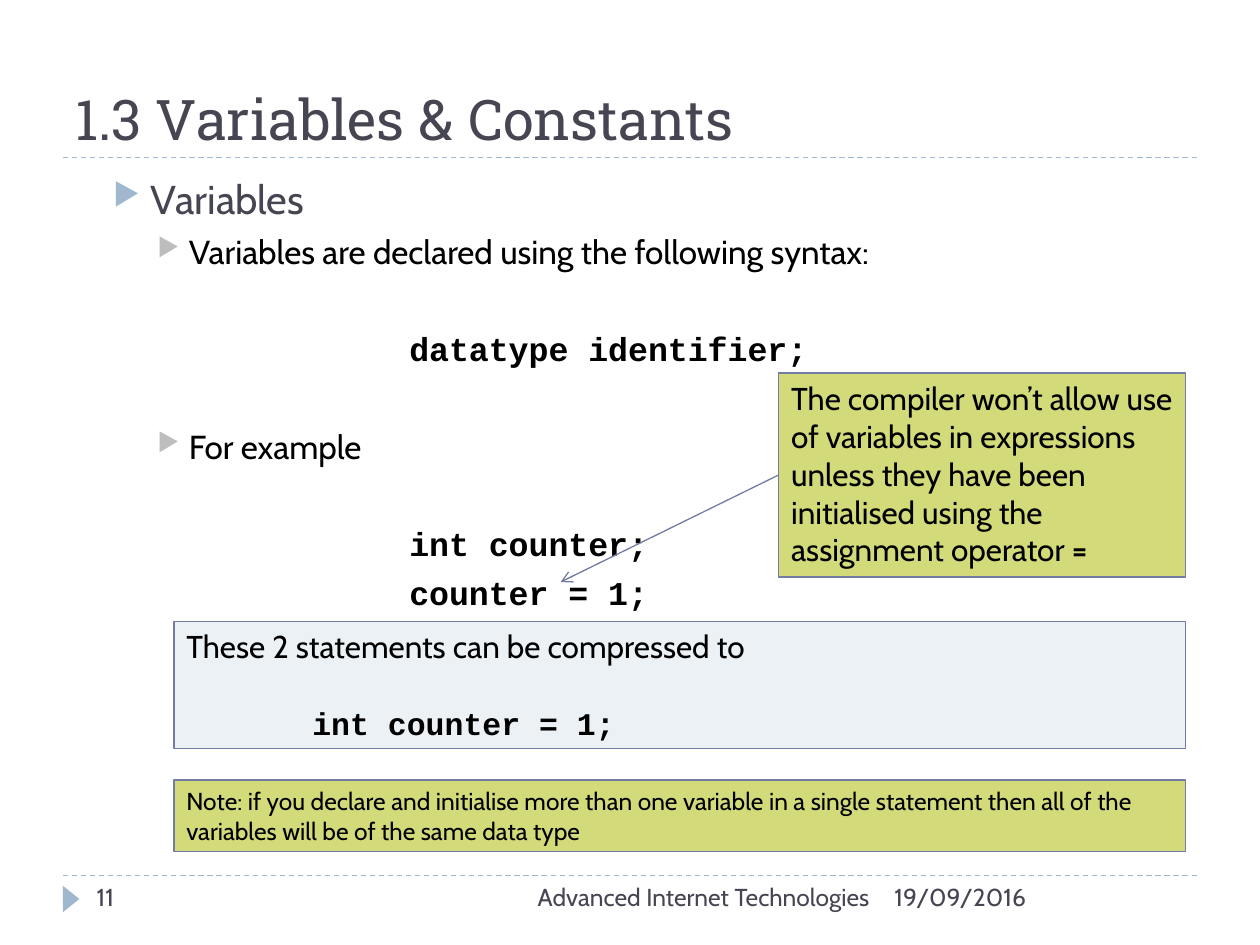
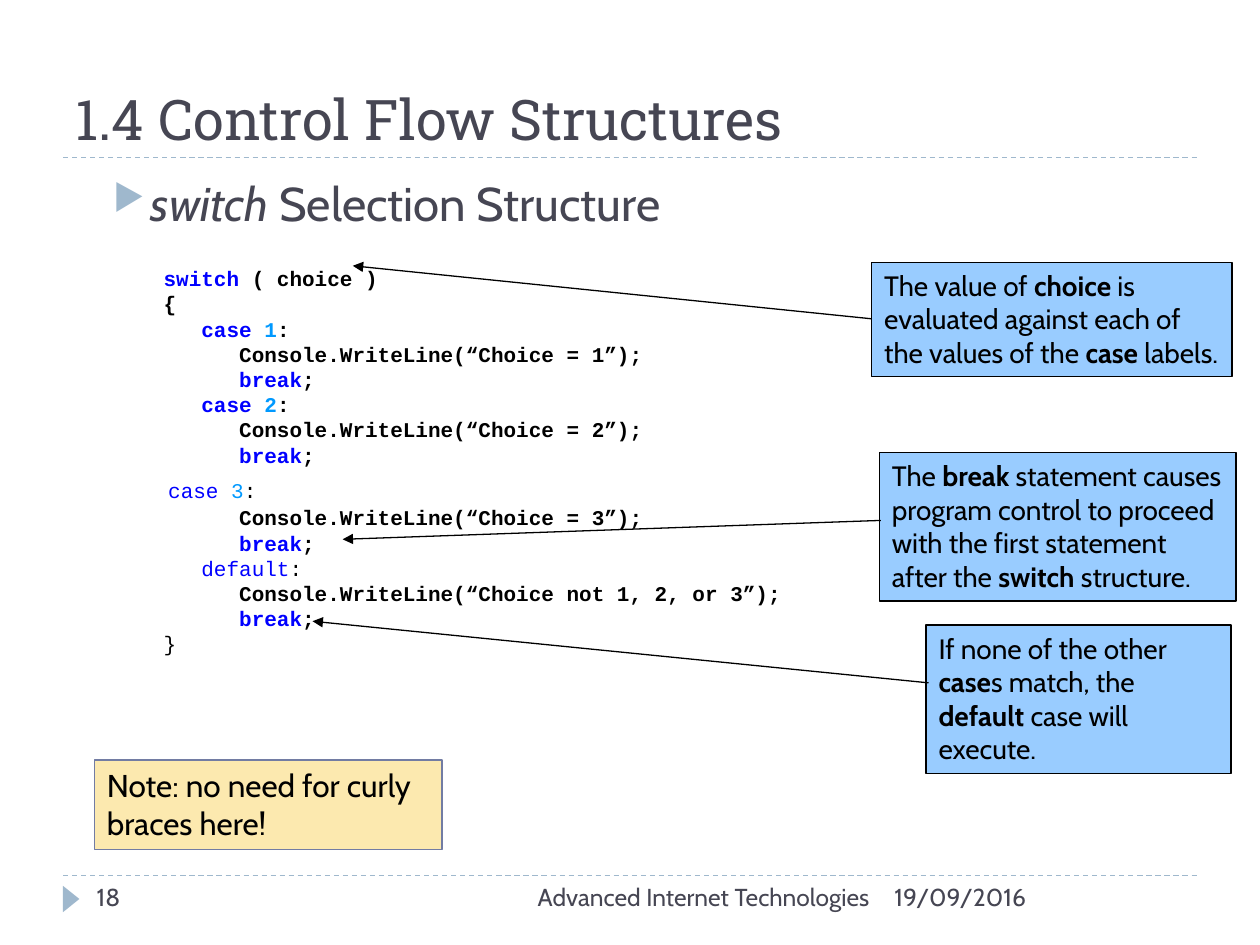
from lxml.etree import SubElement
from pptx import Presentation
from pptx.dml.color import RGBColor
from pptx.enum.dml import MSO_LINE
from pptx.enum.shapes import MSO_CONNECTOR as CONNECTOR, MSO_SHAPE as SHAPE
from pptx.enum.text import MSO_ANCHOR as ANCHOR, PP_ALIGN as ALIGN
from pptx.oxml.ns import qn
from pptx.util import Pt

COLORS = {
    "ink": "464653", "black": "000000", "accent": "9FB8CD", "bullet": "BDBDBD",
    "outline": "727CA3", "lime": "D2DA7A", "mist": "ECF1F5", "sky": "99CCFF",
    "cream": "FCE9AF", "keyword": "0000FF", "number": "0099FF",
}
TITLE_FONT, BODY_FONT, CODE_FONT = "Roboto Slab", "Cabin", "Courier New"
CHAR_WIDTH = 7.2  # one code character at 12 pt
CODE_LEADING = 1.2

BOLD = {"bold": True}
KEYWORD = {"color": "keyword"}
NUMBER = {"color": "number"}
PLAIN = {"bold": False}


def rgb(name):
    """Return the named colour."""
    return RGBColor.from_string(COLORS[name])


def add_text(frame, *runs, size=18, font=BODY_FONT, color="black", bold=False,
             italic=False, align=None, before=0, after=0, leading=None,
             indent=0, hang=0, bullet=None):
    """Write a paragraph; a run is a string or a (string, format dict) pair."""
    line = frame.paragraphs[-1]
    if line.runs:
        line = frame.add_paragraph()
    line.alignment = align
    line.space_before, line.space_after = Pt(before), Pt(after)
    if leading:
        line.line_spacing = Pt(leading)
    properties = line._p.get_or_add_pPr()
    properties.set("marL", str(Pt(indent)))
    properties.set("indent", str(Pt(-hang)))
    if bullet:
        tint = SubElement(properties, qn("a:buClr"))
        SubElement(tint, qn("a:srgbClr"), val=COLORS[bullet])
        SubElement(properties, qn("a:buSzPct"), val="76000")
        SubElement(properties, qn("a:buChar"), char="▶")
    base = {"color": color, "bold": bold, "italic": italic}
    for item in runs:
        words, changes = (item, {}) if isinstance(item, str) else item
        style = {**base, **changes}
        run = line.add_run()
        run.text = words
        run.font.size, run.font.name = Pt(size), font
        run.font.bold, run.font.italic = style["bold"], style["italic"]
        run.font.color.rgb = rgb(style["color"])


def add_code(frame, *runs, size=12, **style):
    """Write one line of code."""
    style = {"bold": True, **style}
    add_text(frame, *runs, size=size, font=CODE_FONT,
             leading=size * CODE_LEADING, **style)


def add_area(slide, left, top, width, height, anchor=ANCHOR.TOP):
    """Add a wrapping text box and return its frame."""
    box = slide.shapes.add_textbox(Pt(left), Pt(top), Pt(width), Pt(height))
    box.text_frame.word_wrap = True
    box.text_frame.vertical_anchor = anchor
    return box.text_frame


def add_panel(slide, left, top, width, height, fill, outline="outline"):
    """Add a filled, outlined rectangle and return its text frame."""
    panel = slide.shapes.add_shape(SHAPE.RECTANGLE, Pt(left), Pt(top),
                                   Pt(width), Pt(height))
    panel.shadow.inherit = False
    panel.fill.solid()
    panel.fill.fore_color.rgb = rgb(fill)
    panel.line.color.rgb = rgb(outline)
    panel.line.width = Pt(0.75)
    panel.text_frame.word_wrap = True
    panel.text_frame.vertical_anchor = ANCHOR.TOP
    return panel.text_frame


def add_line(slide, start, end, color, dashed=False, head=None):
    """Draw a thin line, dashed or with an arrowhead at its end."""
    line = slide.shapes.add_connector(CONNECTOR.STRAIGHT, *map(Pt, start + end))
    line.line.color.rgb = rgb(color)
    line.line.width = Pt(0.75)
    if dashed:
        line.line.dash_style = MSO_LINE.DASH
    if head:
        SubElement(line.line._get_or_add_ln(), qn("a:tailEnd"), type=head)
    SubElement(line._element.spPr, qn("a:effectLst"))


def add_page(deck, title, number):
    """Add a slide with the shared rules, title and footer."""
    slide = deck.slides.add_slide(deck.slide_layouts[6])
    for height in (500.4, 90):
        add_line(slide, (36, height), (684, height), "accent", dashed=True)
    marker = slide.shapes.add_shape(SHAPE.ISOSCELES_TRIANGLE, Pt(33.1), Pt(509),
                                    Pt(15.1), Pt(9.4))
    marker.rotation = 90
    marker.shadow.inherit = False
    marker.fill.solid()
    marker.fill.fore_color.rgb = rgb("accent")
    marker.line.fill.background()
    add_text(add_area(slide, 36, 12.2, 648, 77.8, ANCHOR.BOTTOM), title,
             size=32, font=TITLE_FONT, color="ink")
    for words, left, width, align in (
            ("19/09/2016", 504, 180, ALIGN.LEFT),
            ("Advanced Internet Technologies", 228.2, 275.8, ALIGN.RIGHT),
            (number, 48.2, 156.2, ALIGN.LEFT)):
        add_text(add_area(slide, left, 500.4, width, 28.8), words,
                 size=14, color="ink", align=align)
    return slide


def add_body(slide, *heading, size):
    """Add the body area with its top-level bullet and return its frame."""
    body = add_area(slide, 36, 95.8, 648, 388.8)
    add_text(body, *heading, size=size, color="ink", before=5,
             indent=43.2, hang=21.6, bullet="accent")
    return body


def build_variables(deck):
    """Build the slide on declaring variables."""
    slide = add_page(deck, "1.3 Variables & Constants", "11")
    body = add_body(slide, "Variables", size=23)
    point = {"size": 19, "indent": 64.8, "hang": 18, "bullet": "bullet"}
    sample = {"size": 19, "indent": 190.8}
    gap = 33
    add_text(body, "Variables are declared using the following syntax:",
             before=5, **point)
    add_code(body, "datatype identifier;", before=gap, **sample)
    add_text(body, "For example", before=gap, **point)
    add_code(body, "int counter;", before=gap, **sample)
    add_code(body, "counter = 1;", before=5, **sample)

    add_text(add_panel(slide, 445, 213.1, 232.6, 116.6, "lime"),
             "The compiler won’t allow use of variables in expressions unless "
             "they have been initialised using the assignment operator ",
             ("=", BOLD))
    add_line(slide, (445, 271.4), (320.4, 332.6), "outline", head="arrow")

    short_form = add_panel(slide, 99.4, 355, 578.2, 72.7, "mist")
    add_text(short_form, "These 2 statements can be compressed to")
    add_code(short_form, "int counter = 1;", size=18, indent=72, before=21.9)
    add_text(add_panel(slide, 99.4, 445.7, 578.2, 41, "lime"),
             "Note: if you declare and initialise more than one variable in a "
             "single statement then all of the variables will be of the same "
             "data type", size=14)


def add_listing(slide):
    """Add the switch statement, indented by whole characters."""
    code = add_area(slide, 0, 133.9, 677.5, 247)
    code.margin_top = Pt(18)
    outer, label, inner = (CHAR_WIDTH * count for count in (12, 15, 18))

    def add_branch(message, *caption, **style):
        """Write a case label with its message and break."""
        add_code(code, *caption, ":", **{"indent": label, **style})
        add_code(code, f"Console.WriteLine(“{message}”);", indent=inner)
        add_code(code, ("break", KEYWORD), ";", indent=inner)

    add_code(code, ("switch", KEYWORD), " ( choice )", indent=outer)
    add_code(code, "{", indent=outer)
    for value in "12":
        add_branch(f"Choice = {value}", ("case ", KEYWORD), (value, NUMBER))
    add_branch("Choice = 3", ("case ", KEYWORD), ("3", NUMBER),
               indent=89, before=6, after=1, **PLAIN)
    add_branch("Choice not 1, 2, or 3", ("default", KEYWORD), **PLAIN)
    add_code(code, "}", indent=outer, **PLAIN)


def build_switch(deck):
    """Build the slide on the switch structure."""
    slide = add_page(deck, "1.4 Control Flow Structures", "18")
    add_body(slide, ("switch", {"italic": True}), " Selection Structure", size=27)
    add_listing(slide)
    callouts = (
        ((498.2, 149.8, 205.9, 65.5), (498.2, 182.2), (201.6, 151.9),
         ("The value of ", ("choice", BOLD), " is evaluated against each of "
          "the values of the ", ("case", BOLD), " labels.")),
        ((502.6, 258.5, 203.8, 85), (503.3, 297.4), (195.8, 308.2),
         ("The ", ("break", BOLD), " statement causes program control to "
          "proceed with the first statement after the ", ("switch", BOLD),
          " structure.")),
        ((529.2, 357.1, 174.2, 85), (530.6, 390.2), (178.6, 355),
         ("If none of the other ", ("case", BOLD), "s match, the ",
          ("default", BOLD), " case will execute.")),
    )
    for place, start, target, words in callouts:
        add_text(add_panel(slide, *place, "sky", "black"), *words, size=16)
        add_line(slide, start, target, "black", head="triangle")
    add_text(add_panel(slide, 54, 434.2, 198.7, 51.1, "cream"),
             "Note: no need for curly braces here!")


def main():
    """Build and save the deck."""
    deck = Presentation()
    deck.slide_width, deck.slide_height = Pt(720), Pt(540)
    build_variables(deck)
    build_switch(deck)
    deck.save("out.pptx")


main()
